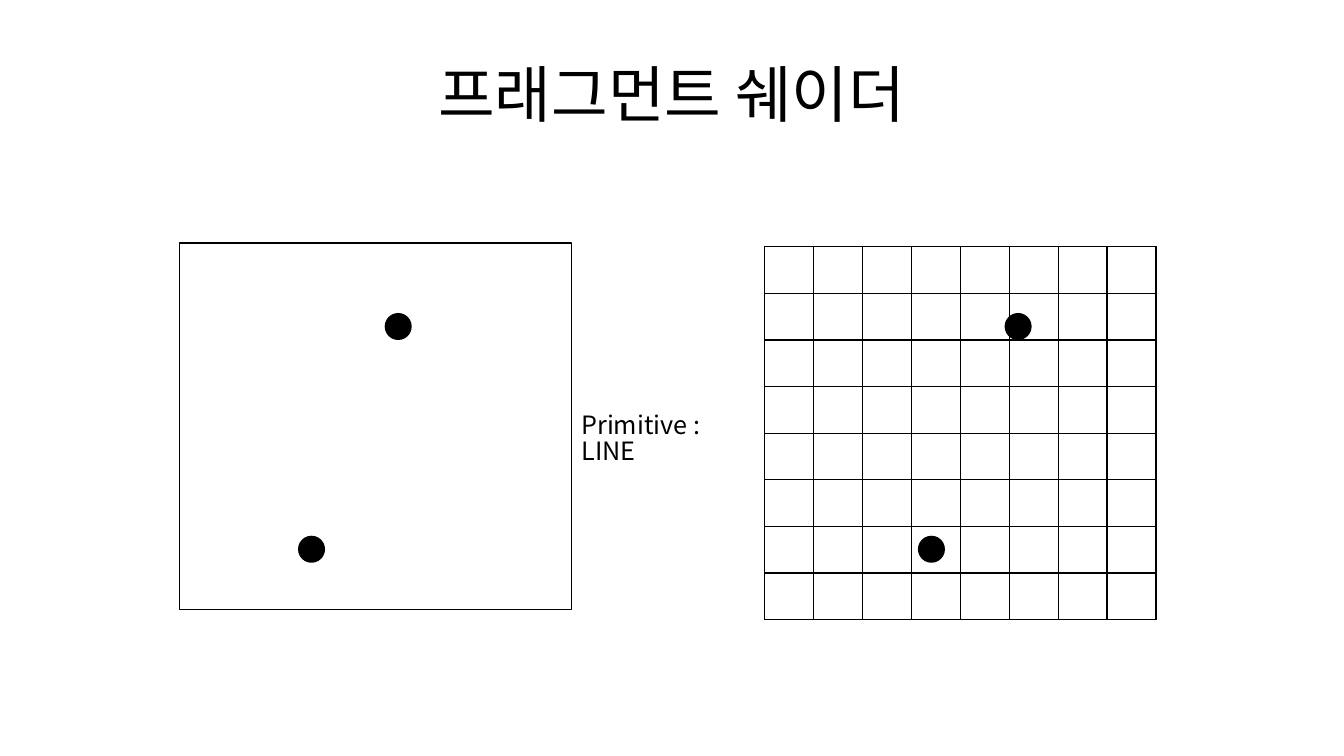
from lxml.etree import SubElement as Sub
from pptx import Presentation
from pptx.dml.color import RGBColor as RGB
from pptx.enum.shapes import MSO_SHAPE as Kind
from pptx.enum.text import MSO_ANCHOR as Anchor, PP_ALIGN as Align
from pptx.oxml.ns import qn
from pptx.util import Pt

FONT = "Noto Sans CJK KR"
INK = "000000"
DOTS = [(85.7, 210.2), (147.6, 51.1)]
DOT = 17.3


def color(code):
    """Turn a hex string into a colour."""
    return RGB.from_string(code)


def style(item, looks):
    """Set each format value on an object."""
    for name, value in looks.items():
        setattr(item, name, value)


def label(slide, box, text, size, frame, para):
    """Place one paragraph of text in a box."""
    body = slide.shapes.add_textbox(*map(Pt, box)).text_frame
    style(body, {"word_wrap": True, **frame})
    line = body.paragraphs[0]
    style(line, para)
    run = line.add_run()
    run.text = text
    style(run.font, {"name": FONT, "size": Pt(size)})
    run.font.color.rgb = color(INK)
    Sub(run._r.get_or_add_rPr(), qn("a:ea"), typeface=FONT)


def shape(slide, kind, box, width, fill=None):
    """Draw an outlined shape, filled if a colour is given."""
    form = slide.shapes.add_shape(kind, *map(Pt, box))
    form.shadow.inherit = False
    form.line.color.rgb = color(INK)
    form.line.width = Pt(width)
    if fill:
        form.fill.solid()
        form.fill.fore_color.rgb = color(fill)
    else:
        form.fill.background()


def points(slide, left, top):
    """Draw the two end points relative to a corner."""
    for x, y in DOTS:
        shape(slide, Kind.OVAL, (left + x, top + y, DOT, DOT), 2, INK)


def edge(cell):
    """Give a cell thin borders and no fill."""
    props = cell._tc.get_or_add_tcPr()
    for side in "LRTB":
        line = Sub(props, qn(f"a:ln{side}"), w=str(Pt(1)))
        Sub(Sub(line, qn("a:solidFill")), qn("a:srgbClr"), val=INK)
    cell.fill.background()


def grid(slide, box, count):
    """Draw a square count of empty pixel cells."""
    table = slide.shapes.add_table(count, count, *map(Pt, box)).table
    style(table, {"first_row": False, "horz_banding": False})
    for col in table.columns:
        col.width = Pt(box[2] / count)
    for row in table.rows:
        row.height = Pt(box[3] / count)
    for cell in table.iter_cells():
        edge(cell)


def main():
    """Build and save the slide."""
    deck = Presentation()
    style(deck, {"slide_width": Pt(960), "slide_height": Pt(540)})
    slide = deck.slides.add_slide(deck.slide_layouts[6])
    grid(slide, (546.3, 176.3, 279.6, 266.4), 8)
    label(slide, (48, 21.6, 864, 90), "프래그먼트 쉐이더", 44,
          {"vertical_anchor": Anchor.MIDDLE}, {"alignment": Align.CENTER})
    points(slide, 128.2, 173.5)
    label(slide, (408.2, 292.3, 139.5, 51), "Primitive : LINE", 18,
          {}, {"line_spacing": 0.85})
    points(slide, 571, 173.5)
    shape(slide, Kind.RECTANGLE, (128.2, 173.5, 280, 262), 1)
    deck.save("out.pptx")


main()
